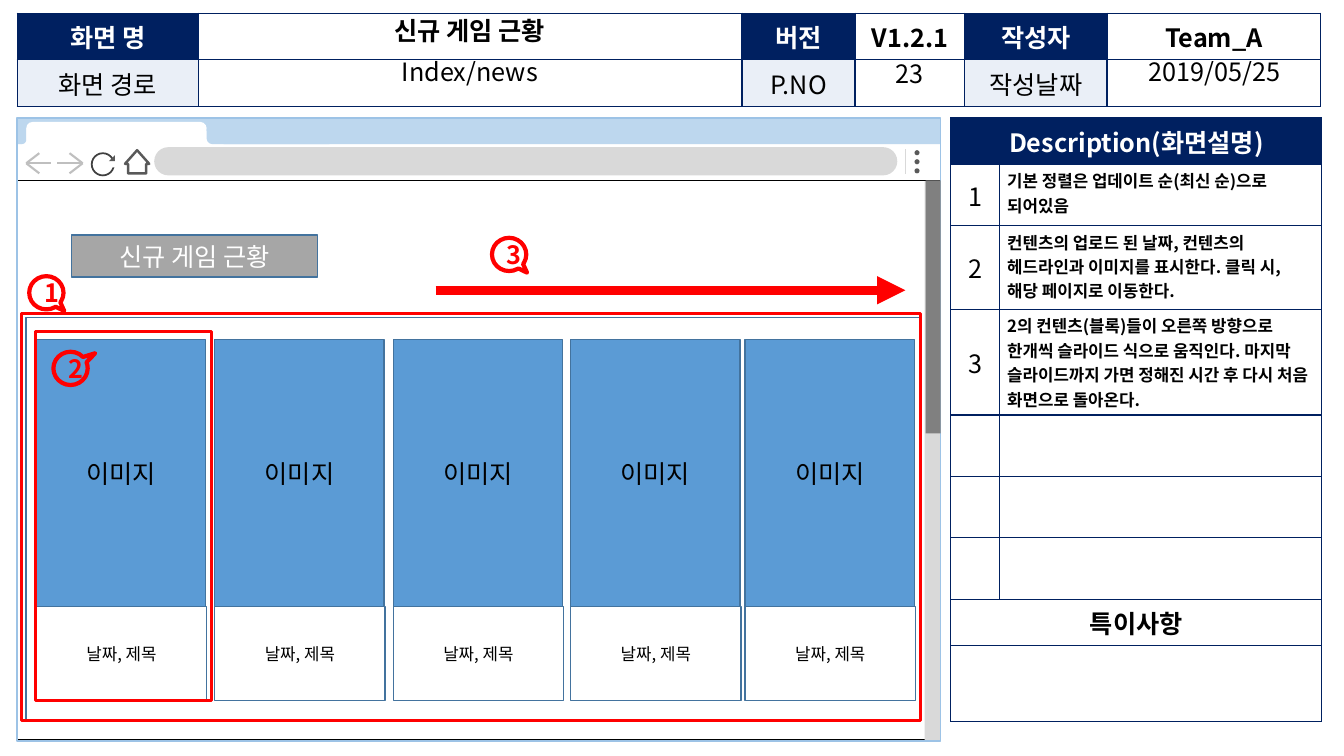
import pptx
import pptx.util
from pptx.dml.color import RGBColor
from pptx.enum.shapes import MSO_CONNECTOR, MSO_SHAPE
from pptx.enum.text import MSO_ANCHOR, PP_ALIGN
from pptx.oxml.ns import qn
from lxml import etree

Inches, Pt = pptx.util.Inches, pptx.util.Pt
FONT = "Noto Sans CJK KR"
C = {
    "white": "FFFFFF", "black": "000000", "navy": "002060", "label": "EAEFF7",
    "tab": "BDD7EE", "frame": "9DC3E6", "blue": "5B9BD5", "edge": "43739E",
    "red": "FF0000", "light": "D9D9D9", "arrow": "BFBFBF", "mid": "A6A6A6",
    "thumb": "808080", "icon": "595959", "reload": "404040",
}

prs = pptx.Presentation()
prs.slide_width, prs.slide_height = Inches(13.33), Inches(7.5)
s = prs.slides.add_slide(prs.slide_layouts[6])


def write(tf, text, size=18, color="black", bold=False, align=PP_ALIGN.CENTER):
    tf.word_wrap = True
    p = tf.paragraphs[0]
    p.text = text
    p.alignment = align
    for r in p.runs:
        r.font.name, r.font.size, r.font.bold = FONT, Pt(size), bold
        r.font.color.rgb = RGBColor.from_string(C[color])
        etree.SubElement(r.font._element, qn("a:ea"), typeface=FONT)


def box(x, y, w, h, fill=None, line=None, width=1, kind=MSO_SHAPE.RECTANGLE, adj=()):
    sp = s.shapes.add_shape(kind, Inches(x), Inches(y), Inches(w), Inches(h))
    sp.shadow.inherit = False
    if fill:
        sp.fill.solid()
        sp.fill.fore_color.rgb = RGBColor.from_string(C[fill])
    else:
        sp.fill.background()
    if line:
        sp.line.color.rgb = RGBColor.from_string(C[line])
        sp.line.width = Pt(width)
    else:
        sp.line.fill.background()
    for i, value in enumerate(adj):
        sp.adjustments[i] = value
    return sp


# Browser window
ROUND = MSO_SHAPE.ROUNDED_RECTANGLE
box(0.16, 1.78, 9.16, 5.56, "white", "black", 0.5)
box(9.17, 1.79, 0.16, 5.55, "light")
box(0.17, 1.42, 9.16, 0.37, "white", "black", 0.5)
box(1.53, 1.46, 7.37, 0.28, "light", kind=ROUND, adj=[0.5])
for i in range(3):
    box(9.07, 1.49 + 0.09 * i, 0.05, 0.05, "icon", kind=MSO_SHAPE.OVAL)
box(0.17, 1.17, 9.16, 0.26, "tab")
box(0.91, 1.52, 0.22, 0.22, None, "reload", 1.25, MSO_SHAPE.OVAL)
box(1.09, 1.58, 0.08, 0.08, "white")
box(1.08, 1.54, 0.06, 0.06, "icon", kind=MSO_SHAPE.ISOSCELES_TRIANGLE, adj=[1])
home = box(1.24, 1.49, 0.24, 0.23, "white", "icon", 1.75, MSO_SHAPE.DOWN_ARROW, [0.75, 0.586])
home.rotation = 180
for x, y, w, h, fill, radius in [
    (0.26, 1.21, 1.79, 0.23, "white", 0.276),
    (1.88, 1.3, 0.34, 0.15, "white", 0.167),
    (2.05, 1.23, 1.27, 0.2, "tab", 0.276),
    (0.21, 1.3, 0.13, 0.15, "white", 0.167),
    (0.17, 1.23, 0.09, 0.2, "tab", 0.462),
]:
    box(x, y, w, h, fill, kind=ROUND, adj=[radius])
box(0.17, 1.17, 9.16, 6.18, None, "frame")

# Toolbar strokes and the slide direction arrow
strokes = [(8.98, 1.48, 8.98, 1.73, "light", 1), (4.32, 2.88, 8.98, 2.88, "red", 6.75)]
for tip, way in [(0.26, 1), (0.82, -1)]:
    for dx, dy in [(0.25, 0), (0.13, -0.1), (0.13, 0.1)]:
        strokes.append((tip, 1.62, tip + way * dx, 1.62 + dy, "arrow", 1.5))
for x1, y1, x2, y2, color, width in strokes:
    cn = s.shapes.add_connector(
        MSO_CONNECTOR.STRAIGHT, Inches(x1), Inches(y1), Inches(x2), Inches(y2))
    cn.line.color.rgb = RGBColor.from_string(C[color])
    cn.line.width = Pt(width)
    if color == "red":
        etree.SubElement(cn.line._get_or_add_ln(), qn("a:tailEnd"), type="triangle")
    etree.SubElement(cn._element.spPr, qn("a:effectLst"))

# Tables: each cell is (text, size, colour, bold, fill)
blank = ("", 18, "black", False, "white")
header = [
    [("화면 명", 18, "white", True, "navy"), blank,
     ("버전", 18, "white", True, "navy"), ("V1.2.1", 18, "black", True, "white"),
     ("작성자", 18, "white", True, "navy"), ("Team_A", 18, "black", True, "white")],
    [("화면 경로", 18, "black", False, "label"), blank,
     ("P.NO", 18, "black", False, "label"), blank,
     ("작성날짜", 18, "black", False, "label"), blank],
]
notes = [
    "기본 정렬은 업데이트 순(최신 순)으로 되어있음",
    "컨텐츠의 업로드 된 날짜, 컨텐츠의 헤드라인과 이미지를 표시한다. 클릭 시, 해당 페이지로 이동한다.",
    "2의 컨텐츠(블록)들이 오른쪽 방향으로 한개씩 슬라이드 식으로 움직인다. "
    "마지막 슬라이드까지 가면 정해진 시간 후 다시 처음 화면으로 돌아온다.",
]
description = [[("Description(화면설명)", 18, "white", True, "navy"), blank]]
for number, note in enumerate(notes, 1):
    description.append([(str(number), 18, "black", False, "white"),
                        (note, 12, "black", True, "white")])
description += [[blank, blank]] * 3
description += [[("특이사항", 18, "black", True, "white"), blank], [blank, blank]]

for x, y, cols, rows, cells, merged in [
    (0.17, 0.13, [1.8, 5.39, 1.12, 1.09, 1.41, 2.12], [0.46, 0.47], header, []),
    (9.43, 1.17, [0.48, 3.2], [0.46, 0.61, 0.83, 1.04, 0.61, 0.61, 0.61, 0.46, 0.75],
     description, [0, 7, 8]),
]:
    tbl = s.shapes.add_table(len(rows), len(cols), Inches(x), Inches(y),
                             Inches(sum(cols)), Inches(sum(rows))).table
    tbl.first_row = tbl.horz_banding = False
    for i, w in enumerate(cols):
        tbl.columns[i].width = Inches(w)
    for i, h in enumerate(rows):
        tbl.rows[i].height = Inches(h)
    for i in merged:
        tbl.cell(i, 0).merge(tbl.cell(i, 1))
    for i, row in enumerate(cells):
        for j, (text, size, color, bold, fill) in enumerate(row):
            cell = tbl.cell(i, j)
            is_note = size == 12
            cell.margin_left = cell.margin_right = Inches(0.08)
            cell.margin_top = cell.margin_bottom = Inches(0.04)
            cell.vertical_anchor = MSO_ANCHOR.TOP if is_note else MSO_ANCHOR.MIDDLE
            for side in ("a:lnL", "a:lnR", "a:lnT", "a:lnB"):
                ln = etree.SubElement(cell._tc.get_or_add_tcPr(), qn(side), w=str(Pt(1)))
                solid = etree.SubElement(ln, qn("a:solidFill"))
                etree.SubElement(solid, qn("a:srgbClr"), val=C["navy"])
            cell.fill.solid()
            cell.fill.fore_color.rgb = RGBColor.from_string(C[fill])
            if text:
                write(cell.text_frame, text, size, color, bold,
                      PP_ALIGN.LEFT if is_note else PP_ALIGN.CENTER)

# Header values
for x, y, w, text, bold, anchor, spacing in [
    (1.97, 0.14, 5.38, "신규 게임 근황", True, MSO_ANCHOR.TOP, 0.9),
    (1.97, 0.54, 5.38, "Index/news", False, MSO_ANCHOR.TOP, 0.9),
    (10.99, 0.54, 2.11, "2019/05/25", False, MSO_ANCHOR.TOP, 0.9),
    (8.48, 0.54, 1.08, "23", False, MSO_ANCHOR.MIDDLE, 1.0),
]:
    tf = s.shapes.add_textbox(Inches(x), Inches(y), Inches(w), Inches(0.38)).text_frame
    tf.vertical_anchor = anchor
    write(tf, text, bold=bold)
    tf.paragraphs[0].line_spacing = spacing

# Page content
write(box(0.71, 2.33, 2.44, 0.42, "mid", "edge").text_frame, "신규 게임 근황", color="white")
box(9.18, 1.79, 0.15, 2.51, "thumb")
box(0.26, 3.15, 8.86, 4, None, "edge")
box(0.21, 3.11, 8.92, 4.04, None, "red", 2)
for x in (0.36, 2.13, 3.9, 5.66, 7.39):
    write(box(x, 3.37, 1.68, 2.66, "blue", "edge").text_frame, "이미지")
    write(box(x, 6.02, 1.69, 0.93, "white", "edge").text_frame, "날짜, 제목", 12)
box(0.35, 3.29, 1.75, 3.66, None, "red", 2)

for number, x, y, pointer in [
    ("1", 0.29, 2.74, [0.523, 0.547]),
    ("2", 0.53, 3.49, [0.718, -0.455]),
    ("3", 4.88, 2.36, [0.523, 0.547]),
]:
    callout = box(x, y, 0.34, 0.33, None, "red", 3, MSO_SHAPE.OVAL_CALLOUT, pointer)
    write(callout.text_frame, number, color="red", bold=True)

prs.save("out.pptx")
